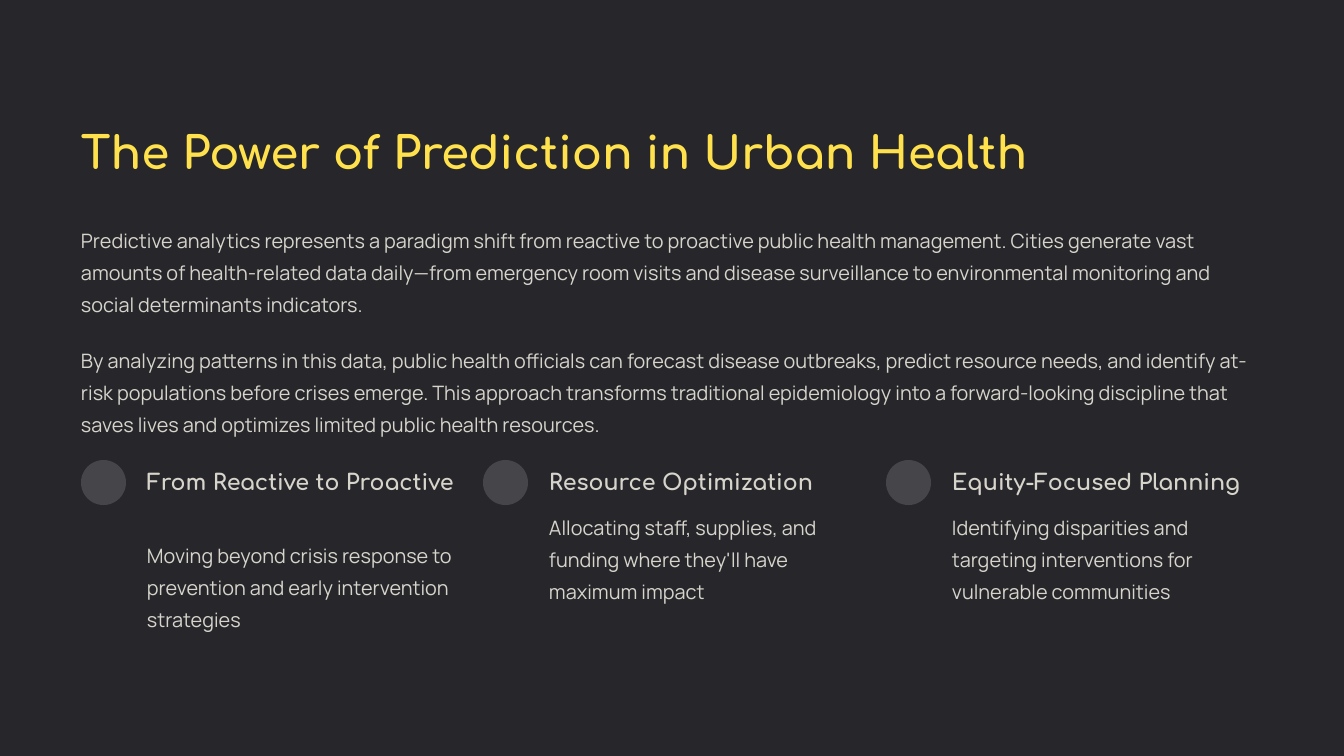
from pptx import Presentation
from pptx.dml.color import RGBColor
from pptx.enum.shapes import MSO_SHAPE as Shape
from pptx.enum.text import MSO_ANCHOR as Anchor, MSO_AUTO_SIZE as AutoSize, PP_ALIGN as Align
from pptx.util import Emu, Pt

PX = 914400 / 84
COLORS = {"background": "27272B", "title": "FFE14D", "text": "D7D4CC", "badge": "46464A"}

# Text formats: font attributes and line spacing
TITLE = {"name": "Comfortaa", "size": Pt(38.5), "bold": True, "color": "title", "line": Pt(48)}
HEADING = {"name": "Comfortaa", "size": Pt(19), "bold": True, "color": "text", "line": Pt(24)}
BODY = {"name": "Manrope", "size": Pt(17), "bold": False, "color": "text", "line": Pt(27.5)}

LEFT, WIDTH, GAP = 81, 1182, 26
BADGE, TEXT_INDENT, TEXT_WIDTH, BODY_HEIGHT = 45, 66, 312, 97

INTRO = [
    (220, "Predictive analytics represents a paradigm shift from reactive to proactive public "
          "health management. Cities generate vast amounts of health-related data daily—from "
          "emergency room visits and disease surveillance to environmental monitoring and "
          "social determinants indicators."),
    (340, "By analyzing patterns in this data, public health officials can forecast disease "
          "outbreaks, predict resource needs, and identify at-risk populations before crises "
          "emerge. This approach transforms traditional epidemiology into a forward-looking "
          "discipline that saves lives and optimizes limited public health resources."),
]
# Heading, text, top of the text
BENEFITS = [
    ("From Reactive to Proactive",
     "Moving beyond crisis response to prevention and early intervention strategies", 535),
    ("Resource Optimization",
     "Allocating staff, supplies, and funding where they'll have maximum impact", 507),
    ("Equity-Focused Planning",
     "Identifying disparities and targeting interventions for vulnerable communities", 507),
]


def px(*lengths):
    return [Emu(round(length * PX)) for length in lengths]


def color(name):
    return RGBColor.from_string(COLORS[name])


def write(shape, text, style, wrap=True):
    frame = shape.text_frame
    frame.text = text
    frame_format = {"margin_left": 0, "margin_top": 0, "margin_right": 0, "margin_bottom": 0,
                    "vertical_anchor": Anchor.TOP, "auto_size": AutoSize.NONE,
                    "word_wrap": wrap}
    for name, value in frame_format.items():
        setattr(frame, name, value)
    paragraph = frame.paragraphs[0]
    paragraph.alignment = Align.LEFT
    paragraph.line_spacing = style["line"]
    font = paragraph.runs[0].font
    for name in ("name", "size", "bold"):
        setattr(font, name, style[name])
    font.color.rgb = color(style["color"])


def add_title(slide, text, box):
    title = slide.shapes.title
    for name, value in zip(("left", "top", "width", "height"), px(*box)):
        setattr(title, name, value)
    write(title, text, TITLE, wrap=False)


def add_text(slide, text, box, style, wrap=True):
    write(slide.shapes.add_textbox(*px(*box)), text, style, wrap)


def add_badge(slide, left, top):
    badge = slide.shapes.add_shape(Shape.ROUNDED_RECTANGLE, *px(left, top, BADGE, BADGE))
    badge.adjustments[0] = 0.5
    badge.shadow.inherit = False
    badge.fill.solid()
    badge.fill.fore_color.rgb = color("badge")
    badge.line.fill.background()


def add_benefit(slide, left, heading, text, text_top):
    add_badge(slide, left, 460)
    text_left = left + TEXT_INDENT
    add_text(slide, heading, (text_left, 467, TEXT_WIDTH, 28), HEADING, wrap=False)
    add_text(slide, text, (text_left, text_top, TEXT_WIDTH, BODY_HEIGHT), BODY)


def main():
    presentation = Presentation()
    presentation.slide_width, presentation.slide_height = px(1344, 756)
    slide = presentation.slides.add_slide(presentation.slide_layouts[5])

    # Background and title
    slide.background.fill.solid()
    slide.background.fill.fore_color.rgb = color("background")
    add_title(slide, "The Power of Prediction in Urban Health", (LEFT, 123, 948, 56))

    # Introduction
    for top, text in INTRO:
        add_text(slide, text, (LEFT, top, WIDTH, BODY_HEIGHT), BODY)

    # Three equal columns
    for index, benefit in enumerate(BENEFITS):
        left = LEFT + index * (WIDTH + GAP) // len(BENEFITS)
        add_benefit(slide, left, *benefit)

    presentation.save("out.pptx")


if __name__ == "__main__":
    main()
